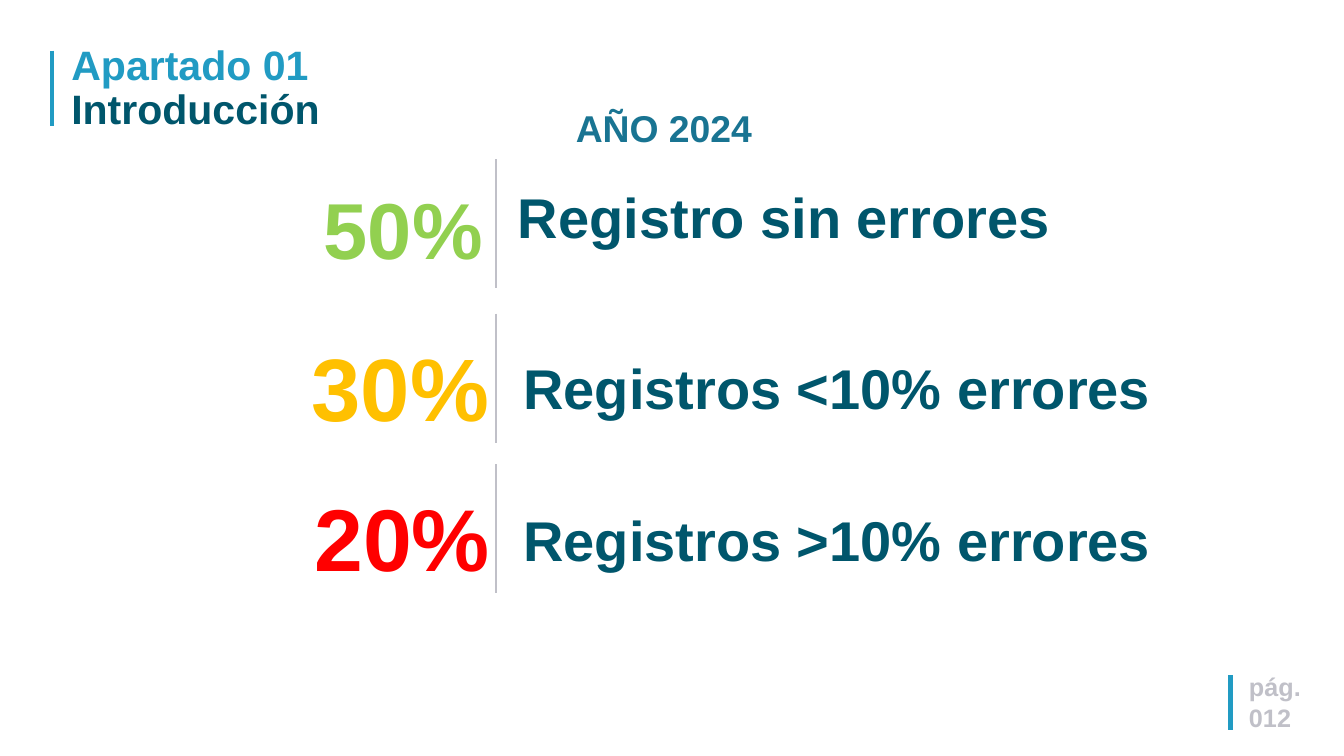
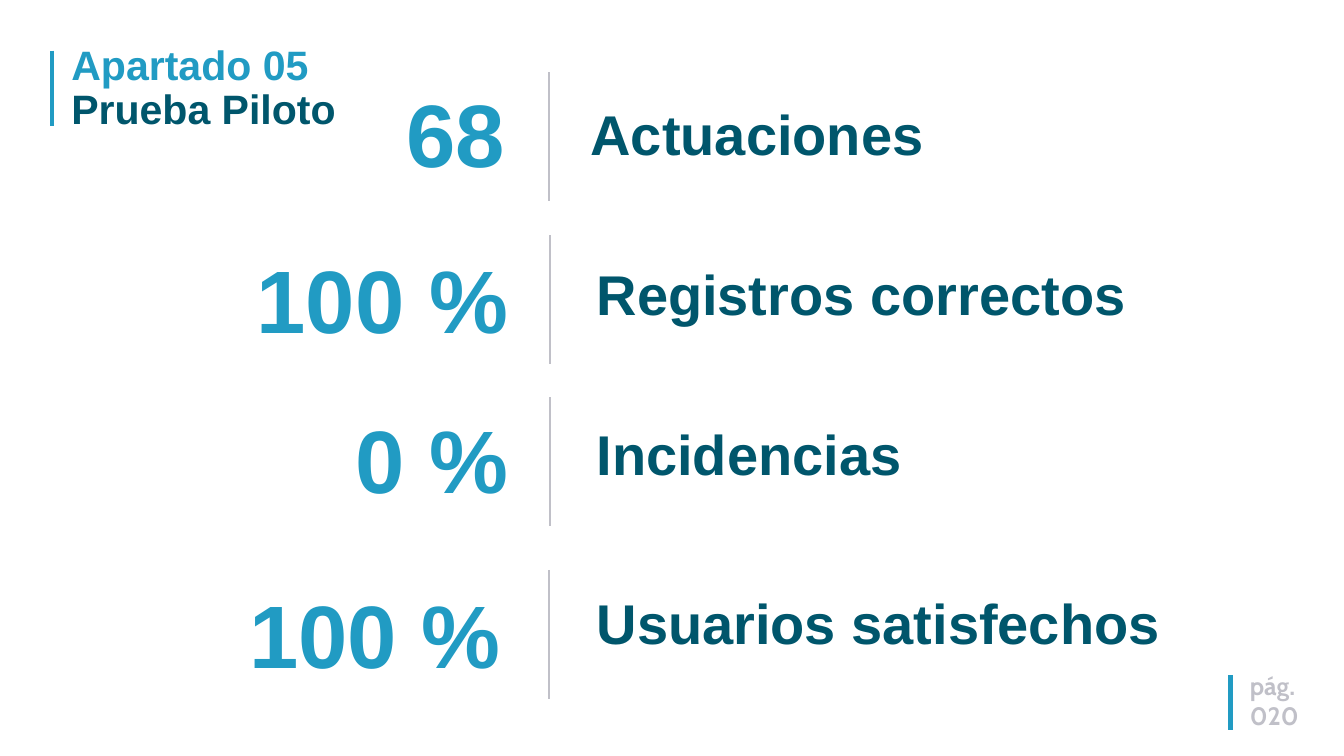
from dataclasses import dataclass
from lxml.etree import SubElement
from pptx import Presentation
from pptx.dml.color import RGBColor
from pptx.enum.shapes import MSO_CONNECTOR
from pptx.enum.text import MSO_ANCHOR, MSO_AUTO_SIZE, PP_ALIGN
from pptx.oxml.ns import qn
from pptx.util import Cm, Pt


@dataclass(frozen=True)
class Theme:
    blue: str = "219BC3"
    navy: str = "00566C"
    teal: str = "197492"
    grey: str = "C0C0C8"
    green: str = "92D050"
    amber: str = "FFC000"
    red: str = "FF0000"
    font: str = "Arial"
    title: int = 44
    label: int = 60
    figure: int = 95
    year: int = 40
    page: int = 27
    accent: int = 5
    rule: int = 2


theme = Theme()


def write(shape, text, box=None, size=theme.label, tone=theme.navy,
          font=theme.font, align=PP_ALIGN.LEFT, space=1.0, extend=False):
    frame = shape.text_frame
    if box:
        shape.left, shape.top, shape.width, shape.height = map(Cm, box)
    frame.word_wrap = True
    frame.auto_size = MSO_AUTO_SIZE.NONE
    frame.vertical_anchor = MSO_ANCHOR.TOP
    for index, line in enumerate(text.split("\n")):
        par = frame.add_paragraph() if index else frame.paragraphs[0]
        par.alignment = align
        par.line_spacing = space
        if extend:
            par.add_line_break()
        run = par.add_run()
        run.text = line
        run.font.name = font
        run.font.size = Pt(size)
        run.font.bold = True
        run.font.color.rgb = RGBColor.from_string(tone)


def draw(slide, left, top, height, tone=theme.grey, width=theme.rule):
    line = slide.shapes.add_connector(
        MSO_CONNECTOR.STRAIGHT, Cm(left), Cm(top), Cm(left), Cm(top + height))
    line.line.color.rgb = RGBColor.from_string(tone)
    line.line.width = Pt(width)
    SubElement(line._element.spPr, qn("a:effectLst"))


year_rows = [
    ("50%", 85, theme.green, (5.33, 6.68, 13.16, 3.86),
     "Registro sin errores", (19.33, 6.78, 26.72, 2.79), (18.75, 6.02)),
    ("30%", 95, theme.amber, (8.66, 12.47, 10.08, 8.31),
     "Registros <10% errores", (19.53, 13.23, 26.04, 2.79), (18.75, 11.86)),
    ("20%", 94, theme.red, (6.07, 18.16, 12.7, 4.24),
     "Registros >10% errores", (19.53, 19, 26.04, 2.79), (18.75, 17.55)),
]

pilot_rows = [
    (figure, theme.figure, theme.blue, (*spot, 12.27, 4.27),
     label, (*place, 26.87, 2.79), rule)
    for figure, spot, label, place, rule in [
        ("68", (7.06, 2.87), "Actuaciones", (22.07, 3.63), (20.75, 2.74)),
        ("100 %", (7.19, 9.14), "Registros correctos", (22.3, 9.7), (20.78, 8.89)),
        ("0 %", (7.19, 15.19), "Incidencias", (22.3, 15.72), (20.78, 15.01)),
        ("100 %", (6.91, 21.79), "Usuarios satisfechos", (22.3, 22.12), (20.75, 21.54)),
    ]
]

pages = [
    ("Apartado 01", "Introducción", "012", theme.font,
     (46.96, 25.27, 3.84, 2.54), "AÑO 2024", year_rows),
    ("Apartado 05", "Prueba Piloto", "020", "Cabin",
     (46.99, 25.2, 3.81, 2.69), None, pilot_rows),
]

deck = Presentation()
deck.slide_width = Cm(50.8)
deck.slide_height = Cm(28.58)

for part, topic, number, font, corner, year, rows in pages:
    slide = deck.slides.add_slide(deck.slide_layouts[5])
    shapes = slide.shapes
    draw(slide, 46.51, 25.53, 2.06, tone=theme.blue, width=theme.accent)
    draw(slide, 1.96, 1.91, 2.87, tone=theme.blue, width=theme.accent)
    write(shapes.title, part, box=(2.44, 1.57, 15.14, 3.68),
          size=theme.title, tone=theme.blue, space=0.9)
    write(shapes.title, topic, size=theme.title, space=0.9, extend=True)
    for figure, size, tone, spot, label, place, rule in rows:
        draw(slide, *rule, 4.87)
        write(shapes.add_textbox(0, 0, 0, 0), figure, box=spot,
              size=size, tone=tone, align=PP_ALIGN.RIGHT)
        write(shapes.add_textbox(0, 0, 0, 0), label, box=place)
    if year:
        write(shapes.add_textbox(0, 0, 0, 0), year, box=(11.91, 3, 26.37, 2.79),
              size=theme.year, tone=theme.teal, align=PP_ALIGN.CENTER, space=1.5)
    write(shapes.add_textbox(0, 0, 0, 0), f"pág.\n{number}", box=corner,
          size=theme.page, tone=theme.grey, font=font)

deck.save("out.pptx")
